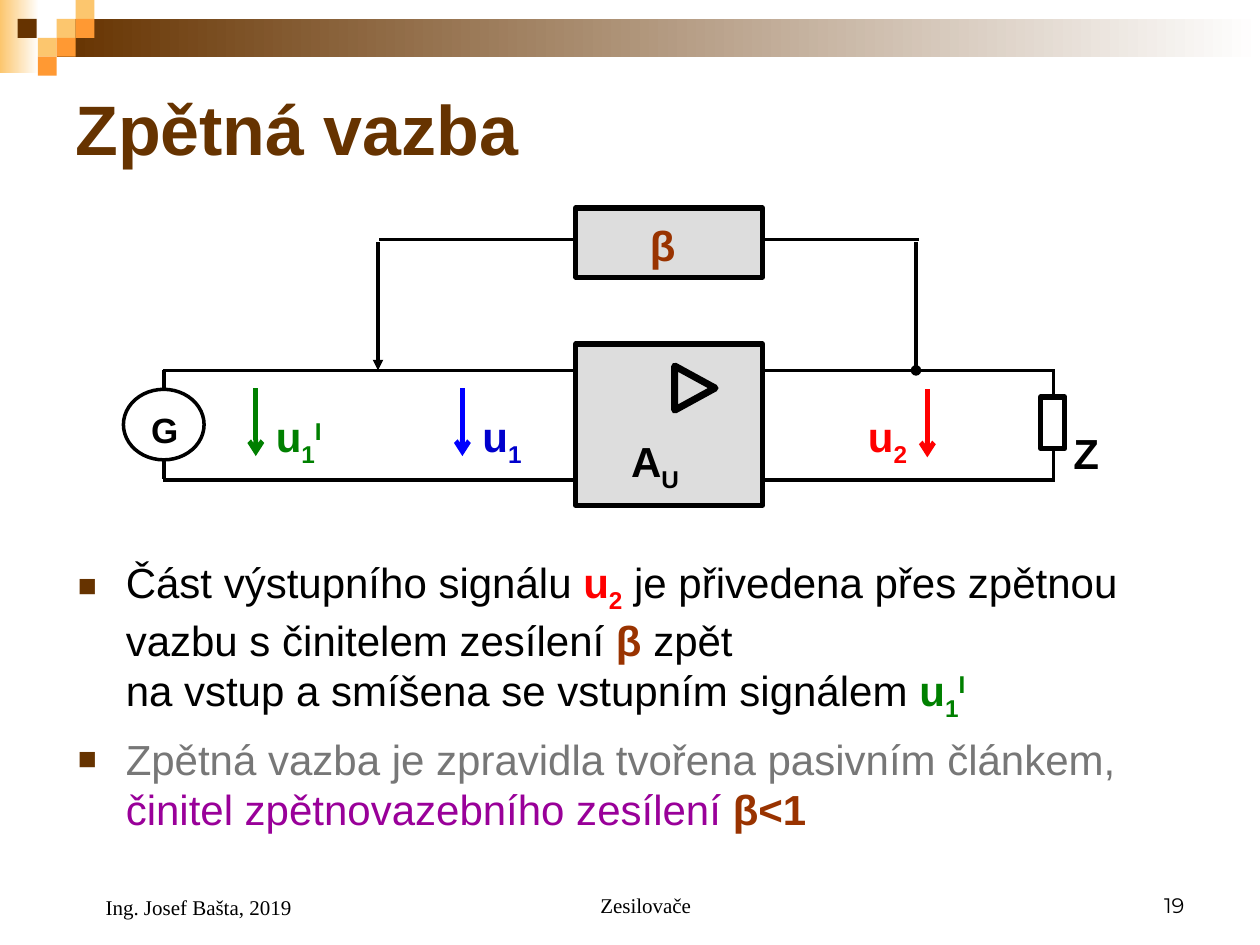
"""Builds the slide on feedback: an amplifier circuit diagram with two bullet points."""
from lxml import etree
from pptx import Presentation, util as u
from pptx.dml.color import RGBColor
from pptx.enum import shapes, text
from pptx.oxml.ns import qn

PX = 9144
BLACK = RGBColor(0x00, 0x00, 0x00)
WHITE = RGBColor(0xFF, 0xFF, 0xFF)
GRAY = RGBColor(0xDD, 0xDD, 0xDD)
DIM = RGBColor(0x77, 0x77, 0x77)
BROWN = RGBColor(0x66, 0x33, 0x00)
RUST = RGBColor(0x99, 0x33, 0x00)
SAND = RGBColor(0xFC, 0xC6, 0x6E)
ORANGE = RGBColor(0xFF, 0x99, 0x33)
RED = RGBColor(0xFF, 0x00, 0x00)
GREEN = RGBColor(0x00, 0x80, 0x00)
BLUE = RGBColor(0x00, 0x00, 0xFF)
NAVY = RGBColor(0x00, 0x00, 0xCC)
PURPLE = RGBColor(0x99, 0x00, 0x99)
SUB, SUP = -25000, 30000

prs = Presentation()
prs.slide_width, prs.slide_height = 1000 * PX, 750 * PX
s = prs.slides.add_slide(prs.slide_layouts[6])


def add_text(box, paragraphs, size=24, font="Arial", bold=True, indent=0, bullet=False,
             align=text.PP_ALIGN.LEFT, anchor=text.MSO_ANCHOR.TOP, wrap=True):
    tf = s.shapes.add_textbox(*[v * PX for v in box]).text_frame
    tf.word_wrap, tf.vertical_anchor = wrap, anchor
    for i, runs in enumerate(paragraphs):
        p = tf.paragraphs[0] if i == 0 else tf.add_paragraph()
        p.alignment = align
        if i:
            p.space_before = u.Pt(6.5)
        pPr = p._p.get_or_add_pPr()
        pPr.set("marL", str(indent * PX))
        if bullet:
            pPr.set("indent", str(-indent * PX))
            clr = etree.SubElement(pPr, qn("a:buClr"))
            etree.SubElement(clr, qn("a:srgbClr"), val=str(BROWN))
            etree.SubElement(pPr, qn("a:buSzPct"), val="75000")
            etree.SubElement(pPr, qn("a:buFont"), typeface="Arial")
            etree.SubElement(pPr, qn("a:buChar"), char="■")
        for words, color, *style in runs:
            if words == "\n":
                p.add_line_break()
                continue
            r = p.add_run()
            r.text = words
            r.font.size, r.font.name = u.Pt(size), font
            r.font.bold = "b" in style or bold
            r.font.color.rgb = color
            for base in (SUB, SUP):
                if base in style:
                    r._r.get_or_add_rPr().set("baseline", str(base))


def add_shape(kind, box, fill=None, line=0):
    sp = s.shapes.add_shape(kind, *[v * PX for v in box])
    sp.shadow.inherit = False
    if fill is None:
        sp.fill.background()
    else:
        sp.fill.solid()
        sp.fill.fore_color.rgb = fill
    if line:
        sp.line.color.rgb, sp.line.width = BLACK, u.Pt(line)
    else:
        sp.line.fill.background()
    return sp


RECT = shapes.MSO_SHAPE.RECTANGLE
for box, color in [((0, 0, 31, 58), SAND), ((45, 15, 955, 30), BROWN)]:
    fill = add_shape(RECT, box, WHITE).fill
    fill.gradient()
    fill.gradient_angle = 0
    for stop, shade in zip(fill.gradient_stops, (color, WHITE)):
        stop.color.rgb = shade

for x, y, color in [(45, 15, SAND), (60, 0, SAND), (60, 15, ORANGE), (30, 30, SAND),
                    (14, 15, BROWN), (45, 30, ORANGE), (30, 45, ORANGE)]:
    add_shape(RECT, (x, y, 15, 15), color)

wires = [
    (301, 190, 729, 190, BLACK, 2, None),
    (129, 294, 835, 294, BLACK, 2, None),
    (129, 381, 837, 381, BLACK, 2, None),
    (130, 294, 130, 380, BLACK, 2, None),
    (836, 293, 836, 381, BLACK, 2, None),
    (300, 192, 300, 294, BLACK, 2, "triangle"),
    (727, 192, 727, 294, BLACK, 2, "oval"),
    (203, 308, 203, 362, GREEN, 2.75, "arrow"),
    (367, 308, 367, 362, BLUE, 2.75, "arrow"),
    (736, 309, 736, 363, RED, 2.75, "arrow"),
]
for x1, y1, x2, y2, color, width, tail in wires:
    c = s.shapes.add_connector(shapes.MSO_CONNECTOR.STRAIGHT, x1 * PX, y1 * PX, x2 * PX, y2 * PX)
    c.line.color.rgb, c.line.width = color, u.Pt(width)
    if tail:
        etree.SubElement(c.line._get_or_add_ln(), qn("a:tailEnd"), type=tail)
    etree.SubElement(c._element.spPr, qn("a:effectLst"))

add_shape(RECT, (457, 165, 148, 55), GRAY, 3)
add_shape(RECT, (457, 273, 148, 128), GRAY, 3)
add_shape(shapes.MSO_SHAPE.ISOSCELES_TRIANGLE, (534, 292, 35, 32), line=4).rotation = 90
add_shape(shapes.MSO_SHAPE.OVAL, (98, 309, 64, 56), WHITE, 2)
add_shape(RECT, (826, 315, 19, 41), WHITE, 3)

for box, size, runs in [
    ((506, 169, 59, 50), 24, [("β", RUST)]),
    ((491, 341, 72, 56), 24, [("A", BLACK), ("U", BLACK, SUB)]),
    ((110, 319, 45, 44), 20, [("G", BLACK)]),
    ((842, 334, 42, 50), 24, [("Z", BLACK)]),
    ((209, 321, 81, 56), 24, [("u", GREEN), ("1", GREEN, SUB), ("I", GREEN, SUP)]),
    ((373, 321, 61, 56), 24, [("u", NAVY), ("1", NAVY, SUB)]),
    ((679, 321, 58, 56), 24, [("u", RED), ("2", RED, SUB)]),
]:
    add_text(box, [runs], size=size, wrap=False)

add_text((50, 50, 900, 103), [[("Zpětná vazba", BROWN)]], size=40,
         anchor=text.MSO_ANCHOR.MIDDLE)
add_text((52, 437, 900, 247), [
    [("Část výstupního signálu ", BLACK), ("u", RED, "b"), ("2", RED, "b", SUB),
     (" je přivedena přes zpětnou vazbu s činitelem zesílení ", BLACK), ("β ", RUST, "b"),
     ("zpět", BLACK), ("\n", BLACK), ("na vstup a smíšena se vstupním signálem ", BLACK),
     ("u", GREEN, "b"), ("1", GREEN, "b", SUB), ("I", GREEN, "b", SUP)],
    [("Zpětná vazba je zpravidla tvořena pasivním článkem, ", DIM),
     ("činitel zpětnovazebního zesílení ", PURPLE), ("β<1", RUST, "b")],
], bold=False, indent=38, bullet=True)

for box, words, font, indent, align in [
    ((50, 683, 233, 52), "Ing. Josef Bašta, 2019", "Times New Roman", 24, text.PP_ALIGN.LEFT),
    ((342, 683, 317, 50), "Zesilovače", "Times New Roman", 24, text.PP_ALIGN.CENTER),
    ((717, 683, 233, 50), "19", "Montserrat", 0, text.PP_ALIGN.RIGHT),
]:
    add_text(box, [[(words, BLACK)]], size=12, font=font, bold=False, indent=indent,
             align=align, anchor=text.MSO_ANCHOR.BOTTOM)

prs.save("out.pptx")
